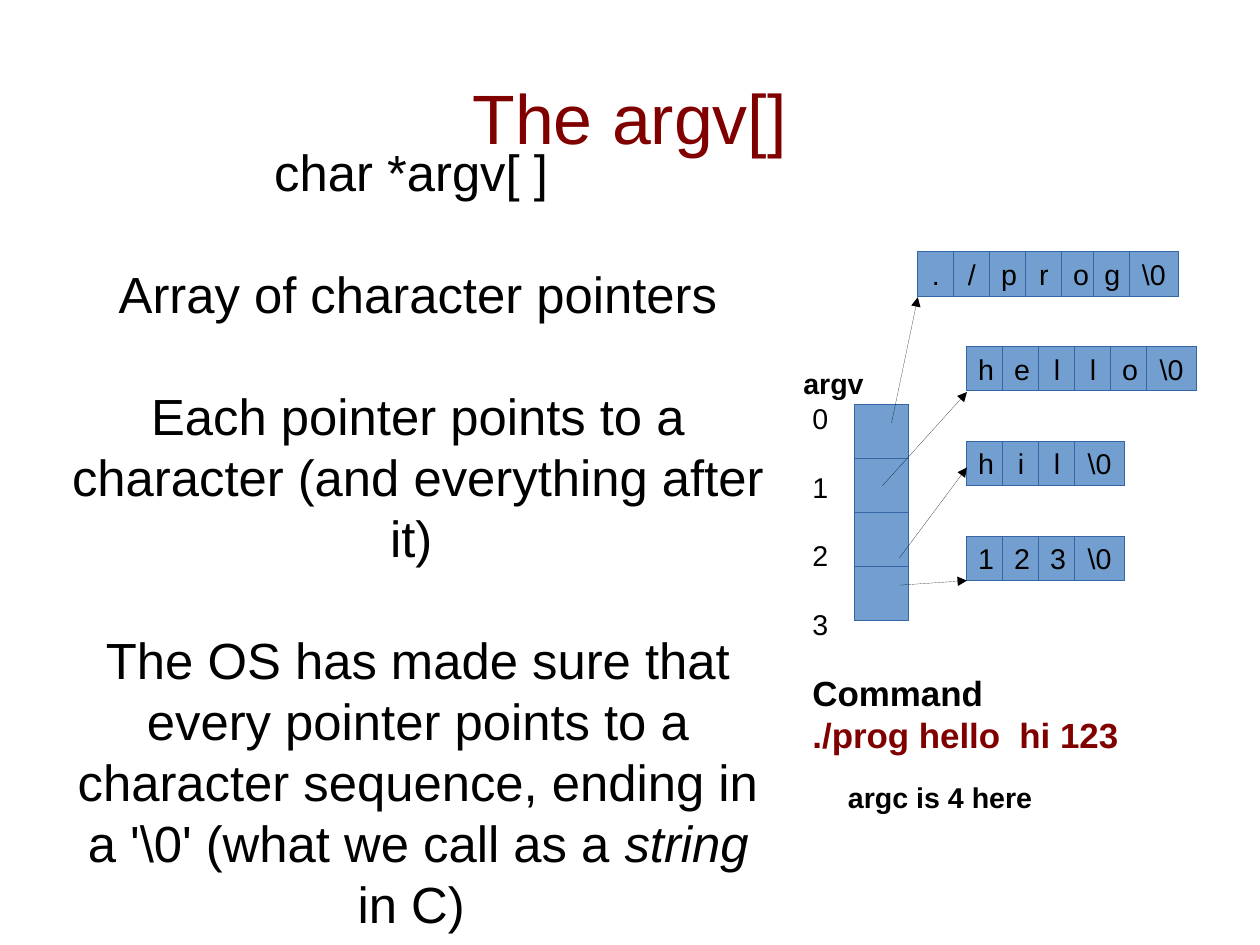
from dataclasses import dataclass

from lxml.etree import SubElement
from pptx import Presentation
from pptx.dml.color import RGBColor
from pptx.enum.shapes import MSO_CONNECTOR, MSO_SHAPE
from pptx.enum.text import MSO_ANCHOR, MSO_AUTO_SIZE, PP_ALIGN
from pptx.oxml.ns import qn
from pptx.slide import Slide
from pptx.util import Inches, Pt

BLACK, MAROON = "000000", "800000"
CELL_FILL, CELL_LINE = "729FCF", "3465A4"

SLIDE_WIDTH, SLIDE_HEIGHT = 28 / 2.54, 21 / 2.54  # 28 by 21 cm
POINTER_LEFT, POINTER_TOP, POINTER_SIZE = 7.48, 3.54, 1.89 / 4
WORD_TOP, WORD_PITCH, WORD_HEIGHT = 2.2, 0.83, 0.39
LETTER_WIDTH, TERMINATOR_WIDTH = 1.26 / 4, 0.43
TERMINATOR = "\\0"


@dataclass
class Run:
    text: str
    color: str = BLACK
    italic: bool = False


@dataclass
class Word:
    letters: str
    left: float
    arrow_start: tuple[float, float]
    arrow_end_y: float
    narrowed: int = -1  # index of the letter whose cell is narrower


@dataclass
class Label:
    box: tuple[float, float, float, float]
    paragraphs: list[list[Run]]
    size: int = 18
    bold: bool = False
    align: PP_ALIGN = PP_ALIGN.LEFT
    anchor: MSO_ANCHOR = MSO_ANCHOR.TOP
    insets: tuple[float, float] = (0.1, 0.05)
    gap: float = 0


WORDS = [
    Word("./prog", 8.03, (7.8, 3.7), 2.6, narrowed=4),
    Word("hello", 8.46, (7.72, 4.25), 3.43),
    Word("hil", 8.46, (7.87, 4.88), 4.09),
    Word("123", 8.46, (7.87, 5.12), 5.08),
]

TITLE = Label((0.55, 0.33, 9.92, 1.38), [[Run("The argv[]", MAROON)]], size=44,
              align=PP_ALIGN.CENTER, anchor=MSO_ANCHOR.MIDDLE, insets=(0, 0))

LABELS = [
    Label((0.55, 1.46, 6.22, 6.48), [
        [Run("char *argv[ ] ")],
        [Run("Array of character pointers")],
        [Run("Each pointer points to a character (and everything after it) ")],
        [Run("The OS has made sure that every pointer points to a character "
             "sequence, ending in a '\\0' (what we call as a "),
         Run("string", italic=True), Run(" in C) ")],
    ], size=32, align=PP_ALIGN.CENTER, anchor=MSO_ANCHOR.MIDDLE, insets=(0, 0), gap=38.4),
    Label((7.01, 3.46, 0.39, 2.06), [[Run(str(i))] for i in range(len(WORDS))], gap=21.6),
    Label((6.93, 3.15, 0.87, 0.66), [[Run("argv")]], bold=True),
    Label((7.01, 5.83, 4.02, 0.78),
          [[Run("Command")], [Run("./prog hello  hi 123", MAROON)]], size=22, bold=True),
    Label((7.32, 6.77, 2.52, 0.38), [[Run("argc is 4 here")]], bold=True),
]


def rgb(color: str) -> RGBColor:
    return RGBColor.from_string(color)


def apply(target, values: dict) -> None:
    for name, value in values.items():
        setattr(target, name, value)


def write(shape, label: Label) -> None:
    frame = shape.text_frame
    side, edge = map(Inches, label.insets)
    apply(frame, {
        "auto_size": MSO_AUTO_SIZE.NONE, "word_wrap": True,
        "vertical_anchor": label.anchor,
        "margin_left": side, "margin_right": side,
        "margin_top": edge, "margin_bottom": edge,
    })
    for index, runs in enumerate(label.paragraphs):
        paragraph = frame.add_paragraph() if index else frame.paragraphs[0]
        apply(paragraph, {"alignment": label.align,
                          "space_before": Pt(label.gap if index else 0)})
        for part in runs:
            run = paragraph.add_run()
            run.text = part.text
            apply(run.font, {"name": "Arial", "size": Pt(label.size),
                             "bold": label.bold, "italic": part.italic})
            run.font.color.rgb = rgb(part.color)


def set_hairline(shape, color: str) -> None:
    """Write a zero width explicitly, since line.width = 0 falls back to the theme."""
    shape.line.color.rgb = rgb(color)
    shape.line._get_or_add_ln().set("w", "0")


def add_cell(slide: Slide, left: float, top: float, width: float, height: float,
             letter: str = "") -> None:
    box = (left, top, width, height)
    cell = slide.shapes.add_shape(MSO_SHAPE.RECTANGLE, *map(Inches, box))
    cell.shadow.inherit = False
    cell.fill.solid()
    cell.fill.fore_color.rgb = rgb(CELL_FILL)
    set_hairline(cell, CELL_LINE)
    if letter:
        write(cell, Label(box, [[Run(letter)]], align=PP_ALIGN.CENTER,
                          anchor=MSO_ANCHOR.MIDDLE))


def add_word(slide: Slide, word: Word, top: float) -> None:
    left = word.left
    for index, letter in enumerate([*word.letters, TERMINATOR]):
        width = TERMINATOR_WIDTH if letter == TERMINATOR else LETTER_WIDTH
        add_cell(slide, left, top, width, WORD_HEIGHT, letter)
        left += width - (0.04 if index == word.narrowed else 0)


def add_arrow(slide: Slide, word: Word) -> None:
    ends = (*word.arrow_start, word.left, word.arrow_end_y)
    arrow = slide.shapes.add_connector(MSO_CONNECTOR.STRAIGHT, *map(Inches, ends))
    set_hairline(arrow, BLACK)
    SubElement(arrow.line._get_or_add_ln(), qn("a:tailEnd"), type="triangle")
    SubElement(arrow._element.spPr, qn("a:effectLst"))


def main() -> None:
    deck = Presentation()
    deck.slide_width = Inches(SLIDE_WIDTH)
    deck.slide_height = Inches(SLIDE_HEIGHT)
    slide = deck.slides.add_slide(deck.slide_layouts[5])

    title = slide.shapes.title
    apply(title, dict(zip(("left", "top", "width", "height"), map(Inches, TITLE.box))))
    write(title, TITLE)

    for index, word in enumerate(WORDS):
        add_cell(slide, POINTER_LEFT, POINTER_TOP + index * POINTER_SIZE,
                 POINTER_SIZE, POINTER_SIZE)
        add_word(slide, word, WORD_TOP + index * WORD_PITCH)
    for word in WORDS:
        add_arrow(slide, word)
    for label in LABELS:
        write(slide.shapes.add_textbox(*map(Inches, label.box)), label)

    deck.save("out.pptx")


if __name__ == "__main__":
    main()
